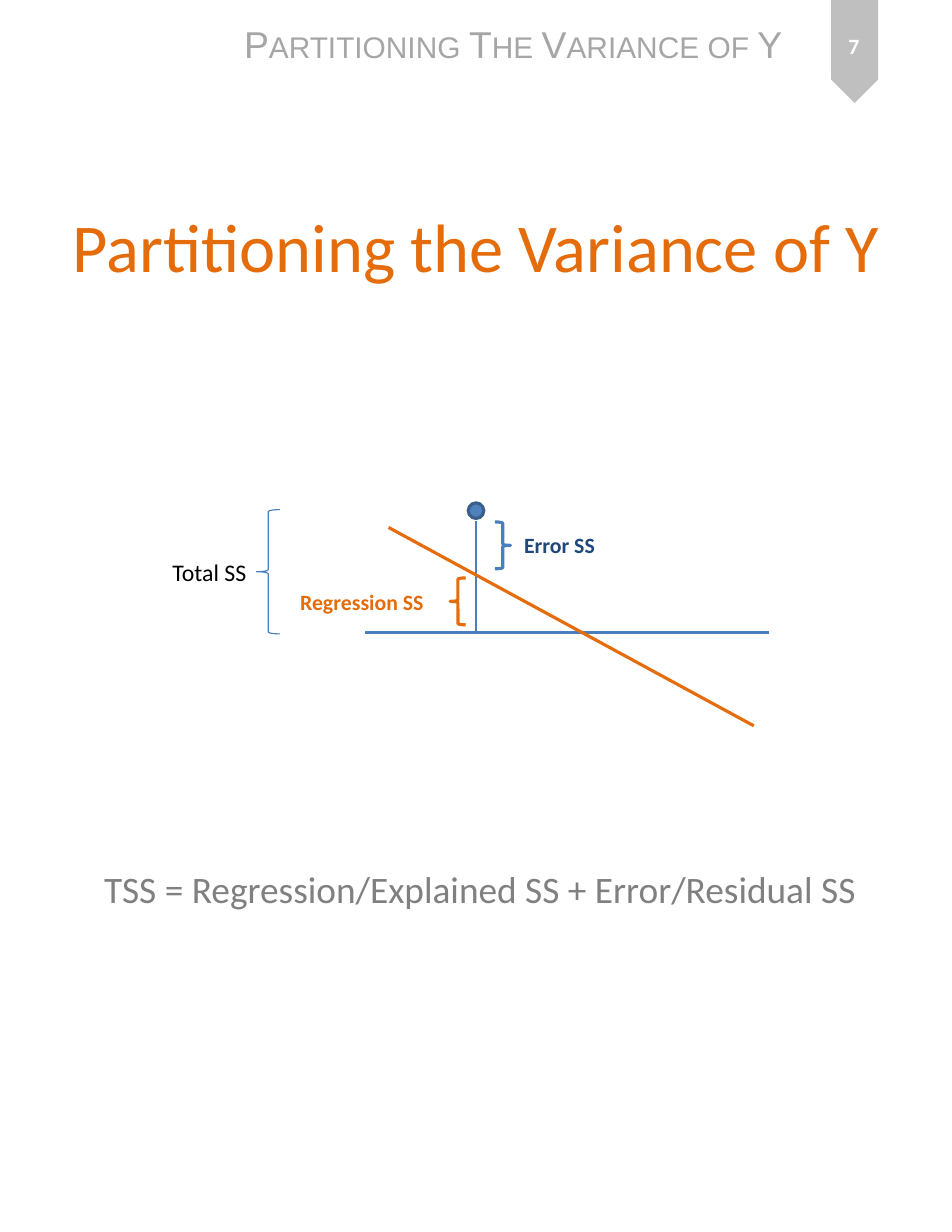
from lxml.etree import SubElement
from pptx import Presentation
from pptx.dml.color import RGBColor
from pptx.enum.shapes import MSO_CONNECTOR, MSO_SHAPE
from pptx.enum.text import MSO_ANCHOR, PP_ALIGN
from pptx.oxml.ns import qn
from pptx.util import Pt

ORANGE = RGBColor(0xE4, 0x6C, 0x0A)
BLUE = RGBColor(0x4B, 0x7E, 0xBC)
POINT_BLUE = RGBColor(0x4F, 0x81, 0xBD)
POINT_EDGE = RGBColor(0x3A, 0x5F, 0x8C)
NAVY = RGBColor(0x1F, 0x49, 0x7D)
BLACK = RGBColor(0x00, 0x00, 0x00)
GRAY = RGBColor(0x80, 0x80, 0x80)
HEADER_GRAY = RGBColor(0xA6, 0xA6, 0xA6)
RIBBON_GRAY = RGBColor(0xBF, 0xBF, 0xBF)
WHITE = RGBColor(0xFF, 0xFF, 0xFF)

presentation = Presentation()
presentation.slide_width = Pt(612)
presentation.slide_height = Pt(792)
slide = presentation.slides.add_slide(presentation.slide_layouts[6])
shapes = slide.shapes


def add_text(text, box, size, color, font="Calibri", bold=False, align=PP_ALIGN.LEFT,
             anchor=MSO_ANCHOR.TOP, wrap=False, fill=None, small_caps=False):
    label = shapes.add_textbox(*map(Pt, box))
    if fill is not None:
        label.fill.solid()
        label.fill.fore_color.rgb = fill
    frame = label.text_frame
    frame.word_wrap = wrap
    frame.vertical_anchor = anchor
    paragraph = frame.paragraphs[0]
    paragraph.alignment = align
    run = paragraph.add_run()
    run.text = text
    run.font.name = font
    run.font.size = Pt(size)
    run.font.bold = bold
    run.font.color.rgb = color
    if small_caps:
        run._r.get_or_add_rPr().set("cap", "small")


def add_figure(kind, box, fill=None, line=None, width=2):
    figure = shapes.add_shape(kind, *map(Pt, box))
    figure.shadow.inherit = False
    if fill is None:
        figure.fill.background()
    else:
        figure.fill.solid()
        figure.fill.fore_color.rgb = fill
    if line is None:
        figure.line.fill.background()
    else:
        figure.line.color.rgb = line
        figure.line.width = Pt(width)
    return figure


page_ribbon = add_figure(MSO_SHAPE.PENTAGON, (516.24, 18, 66.24, 30.24), fill=RIBBON_GRAY)
page_ribbon.rotation = 90
add_text("Partitioning The Variance of Y", (149.8, 10, 364.3, 36), 24, HEADER_GRAY,
         font="Arial", small_caps=True)
add_text("Partitioning the Variance of Y", (31, 91.4, 550.8, 131.8), 44, ORANGE,
         align=PP_ALIGN.CENTER, anchor=MSO_ANCHOR.MIDDLE, wrap=True)

for start_x, start_y, end_x, end_y, color, width in [
    (234.7, 406.8, 494.6, 406.8, BLUE, 2),
    (306, 334.8, 306, 406.1, BLUE, 0.75),
    (249.8, 339.1, 484.6, 466.6, ORANGE, 2),
]:
    graph_line = shapes.add_connector(
        MSO_CONNECTOR.STRAIGHT, Pt(start_x), Pt(start_y), Pt(end_x), Pt(end_y))
    graph_line.line.color.rgb = color
    graph_line.line.width = Pt(width)
    SubElement(graph_line._element.spPr, qn("a:effectLst"))

add_figure(MSO_SHAPE.OVAL, (301, 323.3, 10, 10), fill=POINT_BLUE, line=POINT_EDGE)

add_text("Error SS", (329.8, 338.4, 60.5, 24.5), 14, NAVY, bold=True, fill=WHITE)
add_text("Regression SS", (185.8, 375.1, 94.3, 24.5), 14, ORANGE, bold=True, fill=WHITE)
add_text("Total SS", (103.7, 355, 62.6, 25.9), 15.3, BLACK)

add_figure(MSO_SHAPE.LEFT_BRACE, (289.4, 371.5, 10, 30.2), fill=WHITE, line=ORANGE)
add_figure(MSO_SHAPE.RIGHT_BRACE, (318.2, 335.5, 10, 30.2), fill=WHITE, line=BLUE)
add_figure(MSO_SHAPE.LEFT_BRACE, (164.9, 327.6, 15.1, 79.9), line=BLUE, width=0.75)

add_text("TSS = Regression/Explained SS + Error/Residual SS", (59.8, 553, 502.6, 36), 24, GRAY)
add_text("7", (524.9, 7.9, 48.2, 42.5), 14, WHITE, bold=True,
         align=PP_ALIGN.CENTER, anchor=MSO_ANCHOR.MIDDLE, wrap=True)

presentation.save("out.pptx")
